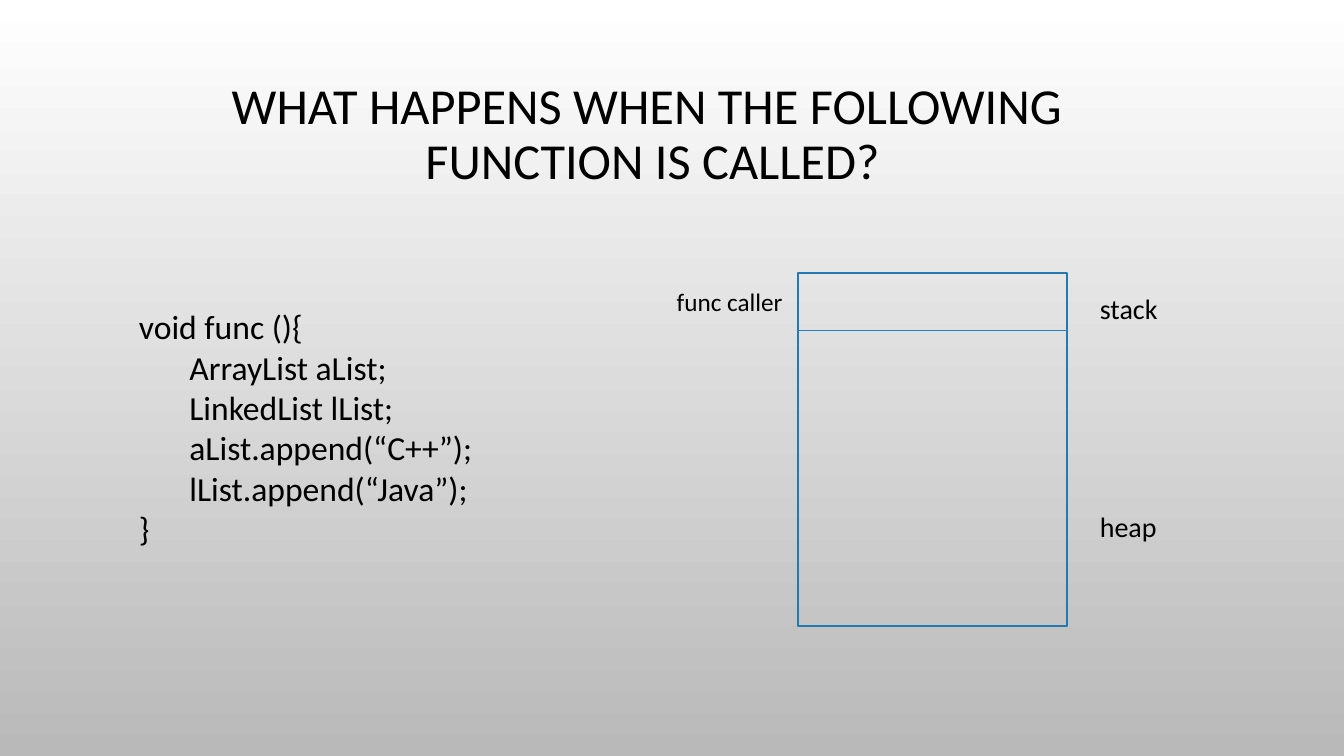
from lxml import etree
from pptx import Presentation
from pptx.dml.color import RGBColor
from pptx.enum.shapes import MSO_CONNECTOR as CONNECTOR, MSO_SHAPE as SHAPE
from pptx.enum.text import MSO_ANCHOR as ANCHOR, PP_ALIGN as ALIGN
from pptx.oxml.ns import qn
from pptx.util import Pt

COLORS = {"text": "000000", "frame": "2379B0", "divider": "2683BF",
          "top": "FFFFFF", "bottom": "B9B9B9"}
CODE = ["void func (){", "\tArrayList aList;", "\tLinkedList lList;",
        "\taList.append(“C++”);", "\tlList.append(“Java”);", "}"]


def color(name):
    return RGBColor.from_string(COLORS[name])


def add_text(s, box, lines, size, anchor=ANCHOR.TOP, tab=None, **formats):
    """Add one paragraph per line; tab is an optional tab stop in points."""
    tf = s.shapes.add_textbox(*map(Pt, box)).text_frame
    tf.word_wrap = True
    tf.vertical_anchor = anchor
    for i, line in enumerate(lines):
        p = tf.paragraphs[0] if i == 0 else tf.add_paragraph()
        p.text = line
        if tab:
            tabs = etree.SubElement(p._p.get_or_add_pPr(), qn("a:tabLst"))
            etree.SubElement(tabs, qn("a:tab"), pos=str(Pt(tab)), algn="l")
        for name, value in formats.items():
            setattr(p, name, value)
        for r in p.runs:
            for name, value in {"name": "Calibri", "size": Pt(size)}.items():
                setattr(r.font, name, value)
            r.font.color.rgb = color("text")


def add_background(s):
    fill = s.background.fill
    fill.gradient()
    fill.gradient_angle = 270
    for stop, position, name in zip(fill.gradient_stops, (0, 1), ("top", "bottom")):
        stop.position = position
        stop.color.rgb = color(name)


def add_title(s, box):
    add_text(s, box, ["WHAT HAPPENS WHEN THE FOLLOWING \vFUNCTION IS CALLED?"], 36,
             ANCHOR.MIDDLE, alignment=ALIGN.CENTER, line_spacing=0.9)


def add_code(s, box):
    add_text(s, box, CODE, 24, tab=36)


def add_memory(s, box):
    """Draw the memory frame with the caller's row on top and labels beside it."""
    x, y, w, h = box
    frame = s.shapes.add_shape(SHAPE.RECTANGLE, *map(Pt, box))
    frame.shadow.inherit = False
    frame.fill.background()

    row_y = y + 41
    divider = s.shapes.add_connector(CONNECTOR.STRAIGHT, Pt(x), Pt(row_y),
                                     Pt(x + w), Pt(row_y))
    etree.SubElement(divider._element.spPr, qn("a:effectLst"))

    for sp, name, width in ((frame, "frame", 1.25), (divider, "divider", 0.75)):
        sp.line.color.rgb = color(name)
        sp.line.width = Pt(width)

    add_text(s, (x - 93.5, y + 5.8, 93.5, 29), ["func caller"], 18)
    for label, dy in (("stack", 9.4), ("heap", 165)):
        add_text(s, (x + w + 16.3, y + dy, 110, 31.5), [label], 20)


def main():
    prs = Presentation()
    prs.slide_width, prs.slide_height = Pt(960), Pt(540)
    s = prs.slides.add_slide(prs.slide_layouts[6])
    add_background(s)
    add_title(s, (58.3, 33.8, 815.8, 126))
    add_code(s, (92.2, 215.3, 621.4, 181.4))
    add_memory(s, (569.8, 195.1, 192.4, 252.3))
    prs.save("out.pptx")


if __name__ == "__main__":
    main()
